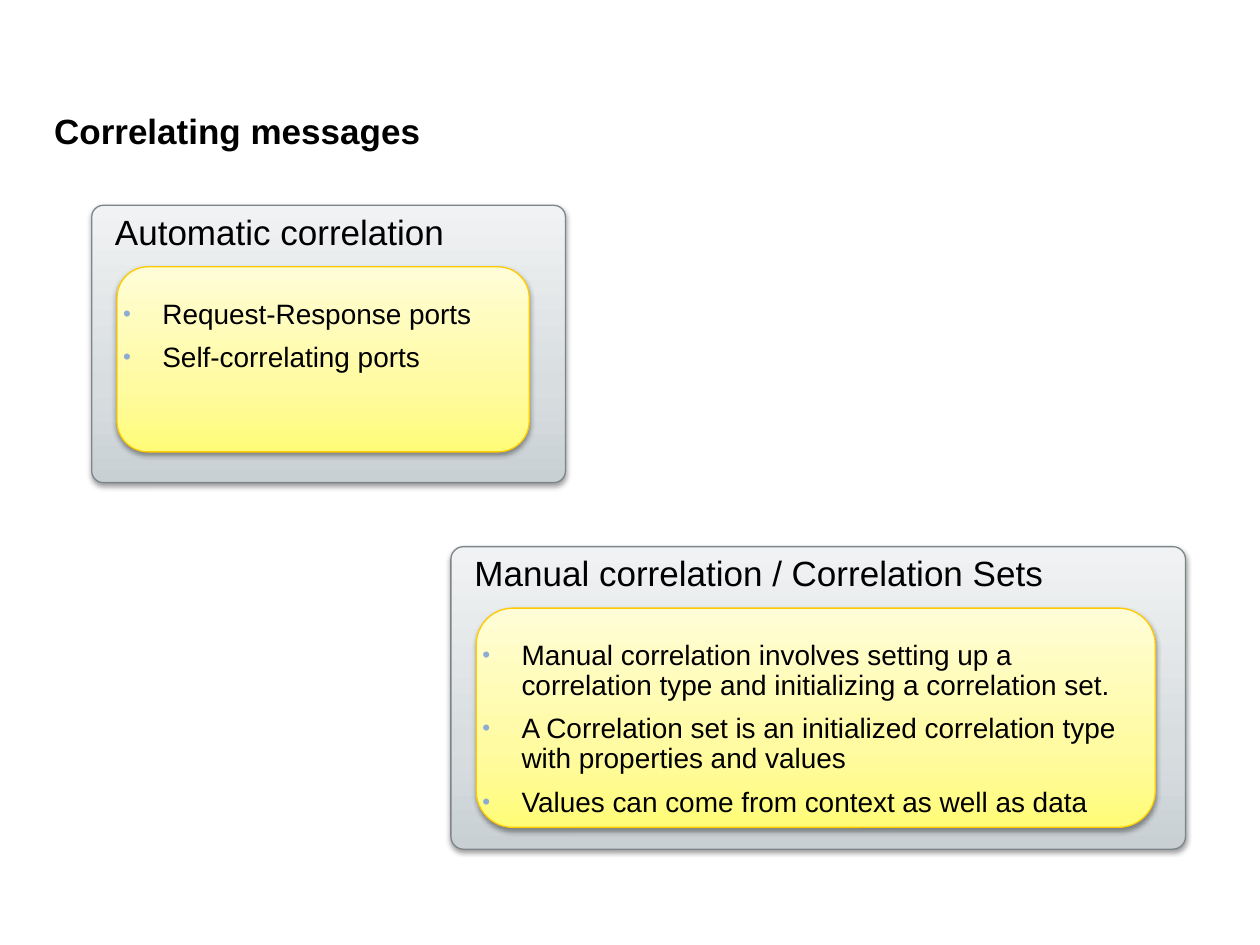
from copy import deepcopy

from lxml import etree
from pptx import Presentation
from pptx import util as u
from pptx.dml.color import RGBColor
from pptx.enum import shapes, text
from pptx.oxml.ns import qn

FONT = "Arial"
COLORS = {
    "text": "000000",
    "bullet": "8DACD0",
    "shadow": "000000",
    "panel_line": "7C8589",
    "card_line": "FFCB00",
}
# Gradients run from bottom to top
PANEL_FILL = [(0, "C9D0D4"), (0.35, "D8DEE0"), (1, "F0F2F3")]
CARD_FILL = [(0, "FFFC78"), (0.35, "FFFBA1"), (1, "FFFDD7")]

# Heading, bullets, then (left, top, width, height) of the panel
# and (width, height) of the card and the list, in cm
GROUPS = [
    ("Automatic correlation",
     ["Request-Response ports", "Self-correlating ports"],
     (1.85, 4.14, 9.55, 5.59), (8.31, 3.73), (7.62, 1.75)),
    ("Manual correlation / Correlation Sets",
     ["Manual correlation involves setting up a \v"
      "correlation type and initializing a correlation set.",
      "A Correlation set is an initialized correlation type \v"
      "with properties and values",
      "Values can come from context as well as data"],
     (9.09, 11.02, 14.81, 6.1), (13.69, 4.42), (13.59, 3.89)),
]
CARD_OFFSET = (0.51, 1.24)
LIST_OFFSET = (0.38, 1.78)


def rgb(name):
    return RGBColor.from_string(COLORS[name])


def place(shape, left, top, width, height):
    shape.left, shape.top = u.Cm(left), u.Cm(top)
    shape.width, shape.height = u.Cm(width), u.Cm(height)


def style_paragraph(paragraph, size, bold=False):
    paragraph.alignment = text.PP_ALIGN.LEFT
    font = paragraph.font
    font.name, font.size, font.bold = FONT, u.Pt(size), bold
    font.color.rgb = rgb("text")


def set_gradient(shape, stops):
    shape.fill.gradient()
    shape.fill.gradient_angle = 90
    stop_list = shape._element.spPr.find(qn("a:gradFill")).find(qn("a:gsLst"))
    stop_list.append(deepcopy(stop_list[-1]))
    for stop, (position, color) in zip(shape.fill.gradient_stops, stops):
        stop.position = position
        stop.color.rgb = RGBColor.from_string(color)


def set_shadow(shape):
    shape.shadow.inherit = False
    effects = shape._element.spPr.find(qn("a:effectLst"))
    shadow = etree.SubElement(
        effects, qn("a:outerShdw"), blurRad=str(u.Pt(3.1)),
        dist=str(u.Pt(1.6)), dir="5400000", rotWithShape="0")
    color = etree.SubElement(shadow, qn("a:srgbClr"), val=COLORS["shadow"])
    etree.SubElement(color, qn("a:alpha"), val="38000")


def add_rounded_box(slide, bounds, corner, stops, line):
    box = slide.shapes.add_shape(shapes.MSO_SHAPE.ROUNDED_RECTANGLE,
                                 *map(u.Cm, bounds))
    box.adjustments[0] = corner
    set_gradient(box, stops)
    box.line.color.rgb = rgb(line)
    box.line.width = u.Pt(0.75)
    set_shadow(box)
    return box


def add_panel(slide, heading, bounds):
    panel = add_rounded_box(slide, bounds, 0.042, PANEL_FILL, "panel_line")
    frame = panel.text_frame
    frame.vertical_anchor = text.MSO_ANCHOR.TOP
    paragraph = frame.paragraphs[0]
    paragraph.text = heading
    paragraph._p.get_or_add_pPr().set("marL", str(u.Cm(0.15)))
    paragraph.line_spacing = 0.9
    style_paragraph(paragraph, 20)


def add_bullet(paragraph):
    properties = paragraph._p.get_or_add_pPr()
    properties.set("marL", str(u.Cm(0.79)))
    properties.set("indent", str(u.Cm(-0.79)))
    color = etree.SubElement(properties, qn("a:buClr"))
    etree.SubElement(color, qn("a:srgbClr"), val=COLORS["bullet"])
    etree.SubElement(properties, qn("a:buSzPct"), val="80000")
    etree.SubElement(properties, qn("a:buFont"), typeface=FONT)
    etree.SubElement(properties, qn("a:buChar"), char="•")


def fill_list(body, items, bounds):
    place(body, *bounds)
    # Bring the list in front of its card
    body._element.getparent().append(body._element)
    frame = body.text_frame
    frame.word_wrap = True
    frame.auto_size = text.MSO_AUTO_SIZE.NONE
    frame.vertical_anchor = text.MSO_ANCHOR.TOP
    for index, item in enumerate(items):
        paragraph = frame.add_paragraph() if index else frame.paragraphs[0]
        paragraph.text = item
        add_bullet(paragraph)
        paragraph.line_spacing = 0.9
        paragraph.space_before = u.Pt(7.4 if index else 0)
        style_paragraph(paragraph, 16)


def fill_title(title, wording):
    place(title, 1.09, 2.13, 23.22, 0.99)
    frame = title.text_frame
    frame.text = wording
    frame.auto_size = text.MSO_AUTO_SIZE.NONE
    frame.vertical_anchor = text.MSO_ANCHOR.MIDDLE
    frame.margin_left = frame.margin_right = 0
    frame.margin_top = frame.margin_bottom = 0
    style_paragraph(frame.paragraphs[0], 20, bold=True)


def main():
    prs = Presentation()
    prs.slide_width, prs.slide_height = u.Cm(25.4), u.Cm(19.05)
    slide = prs.slides.add_slide(prs.slide_layouts.get_by_name("Two Content"))
    title, *bodies = slide.placeholders

    # Title
    fill_title(title, "Correlating messages")

    # Panels, each with a card and its list
    for body, group in zip(bodies, GROUPS):
        heading, items, bounds, card_size, list_size = group
        left, top = bounds[:2]
        add_panel(slide, heading, bounds)
        card = (left + CARD_OFFSET[0], top + CARD_OFFSET[1], *card_size)
        add_rounded_box(slide, card, 0.167, CARD_FILL, "card_line")
        fill_list(body, items,
                  (left + LIST_OFFSET[0], top + LIST_OFFSET[1], *list_size))

    prs.save("out.pptx")


if __name__ == "__main__":
    main()
